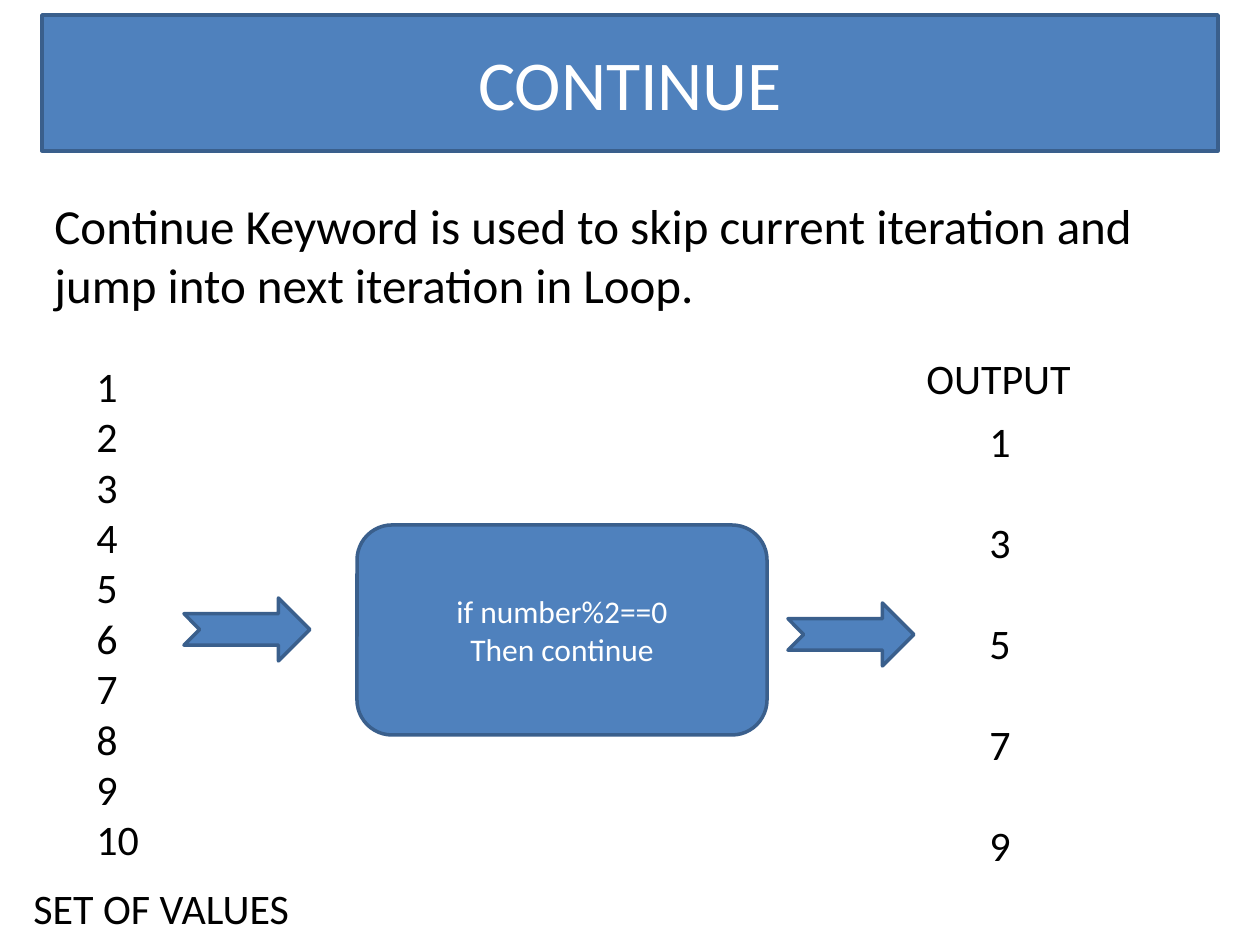
from pptx import Presentation
from pptx.dml.color import RGBColor
from pptx.enum.shapes import MSO_SHAPE
from pptx.enum.text import MSO_ANCHOR, PP_ALIGN
from pptx.util import Pt

PX = 914400 / 126
BLUE = RGBColor(0x4F, 0x81, 0xBD)
EDGE = RGBColor(0x3A, 0x5F, 0x8C)
WHITE = RGBColor(0xFF, 0xFF, 0xFF)
BLACK = RGBColor(0x00, 0x00, 0x00)
FONT = "Calibri"
RECT = MSO_SHAPE.RECTANGLE
ROUNDED = MSO_SHAPE.ROUNDED_RECTANGLE
ARROW = MSO_SHAPE.NOTCHED_RIGHT_ARROW
MIDDLE = MSO_ANCHOR.MIDDLE
LEFT = PP_ALIGN.LEFT
CENTER = PP_ALIGN.CENTER


def emu(*lengths):
    """Turn px lengths into EMU."""
    return [round(n * PX) for n in lengths]


def write(tf, lines, size, color, align=LEFT, gap=0):
    """Write one paragraph per line, with a gap in points between them."""
    tf.word_wrap = True
    for i, line in enumerate(lines):
        p = tf.paragraphs[0] if i == 0 else tf.add_paragraph()
        p.alignment = align
        if i and gap:
            p.space_before = Pt(gap)
        r = p.add_run()
        r.text = line
        r.font.name = FONT
        r.font.size = Pt(size)
        r.font.color.rgb = color


def add_text(s, box, lines, size=24, gap=0):
    """Add a black text box."""
    sp = s.shapes.add_textbox(*emu(*box))
    write(sp.text_frame, lines, size, BLACK, gap=gap)


def add_block(s, kind, box, lines=(), size=18):
    """Add a blue outlined shape with centred white text."""
    sp = s.shapes.add_shape(kind, *emu(*box))
    sp.shadow.inherit = False
    sp.fill.solid()
    sp.fill.fore_color.rgb = BLUE
    sp.line.color.rgb = EDGE
    sp.line.width = Pt(2)
    sp.text_frame.vertical_anchor = MIDDLE
    write(sp.text_frame, lines, size, WHITE, CENTER)


def main():
    """Build the slide about the continue keyword."""
    prs = Presentation()
    prs.slide_width, prs.slide_height = emu(1260, 945)
    s = prs.slides.add_slide(prs.slide_layouts[6])

    add_block(s, RECT, (42, 15, 1176, 136), ["CONTINUE"], 40)
    add_text(s, (42, 189, 1176, 131),
             ["Continue Keyword is used to skip current iteration and "
              "jump into next iteration in Loop."], 28)

    add_text(s, (84, 354, 168, 572), [str(n) for n in range(1, 11)])
    add_block(s, ROUNDED, (357, 525, 410, 210),
              ["if number%2==0", "Then continue"])
    add_text(s, (977, 409, 168, 572),
             [str(n) for n in range(1, 11, 2)], gap=29)
    add_text(s, (914, 346, 199, 63), ["OUTPUT"])
    add_text(s, (21, 876, 382, 63), ["SET OF VALUES"])

    for x, y in ((184, 598), (788, 603)):
        add_block(s, ARROW, (x, y, 126, 63))

    prs.save("out.pptx")


if __name__ == "__main__":
    main()
